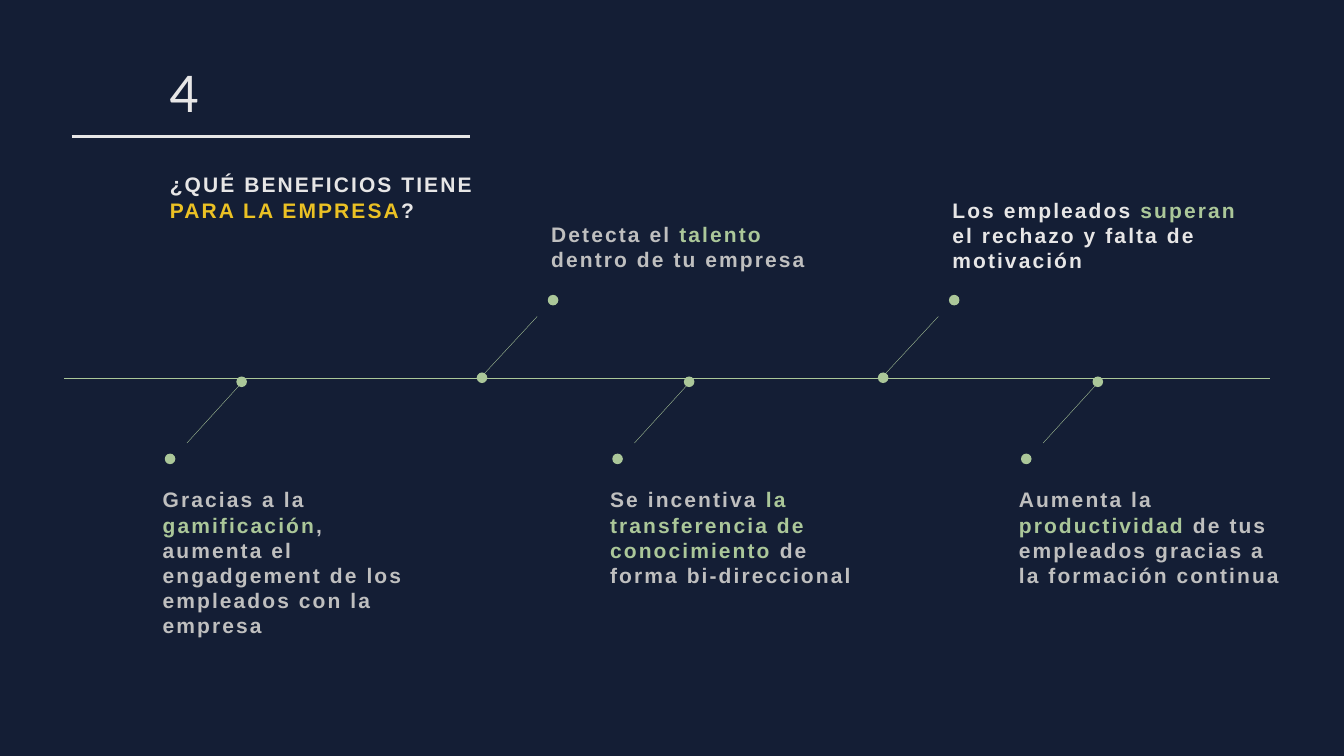
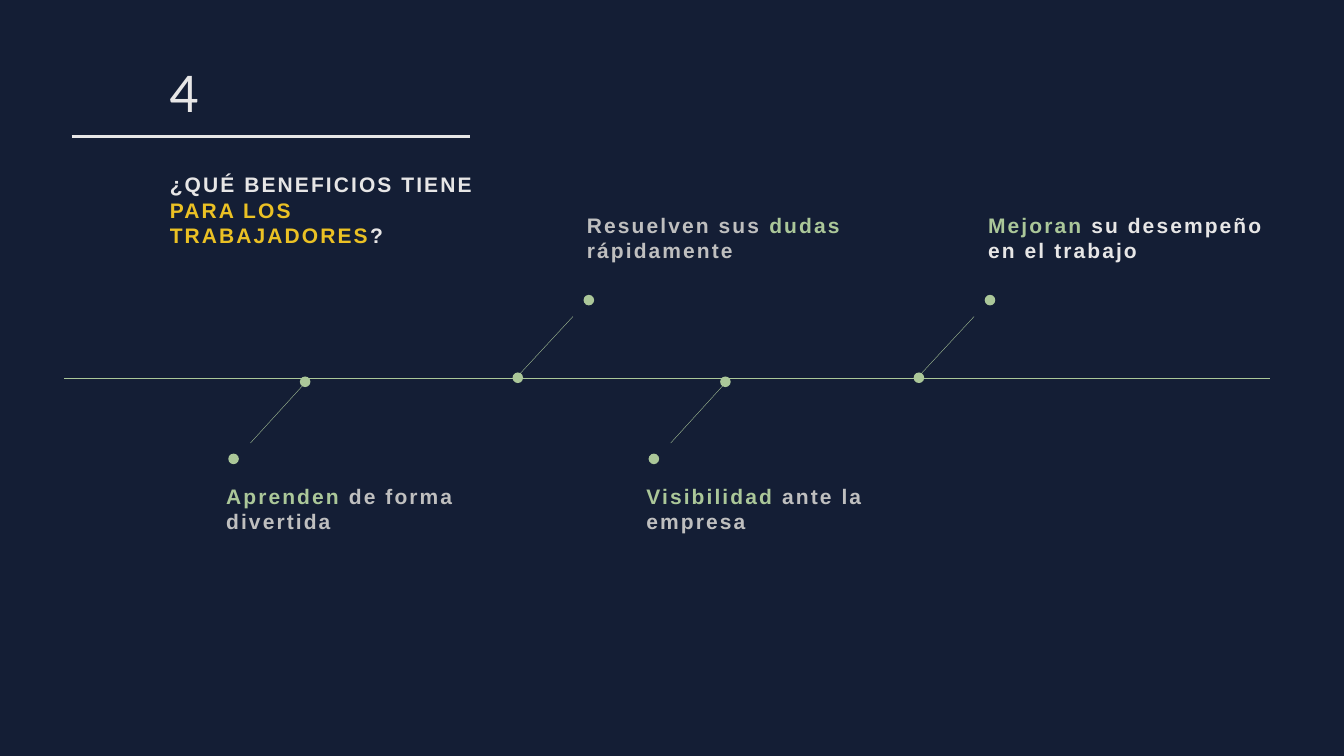
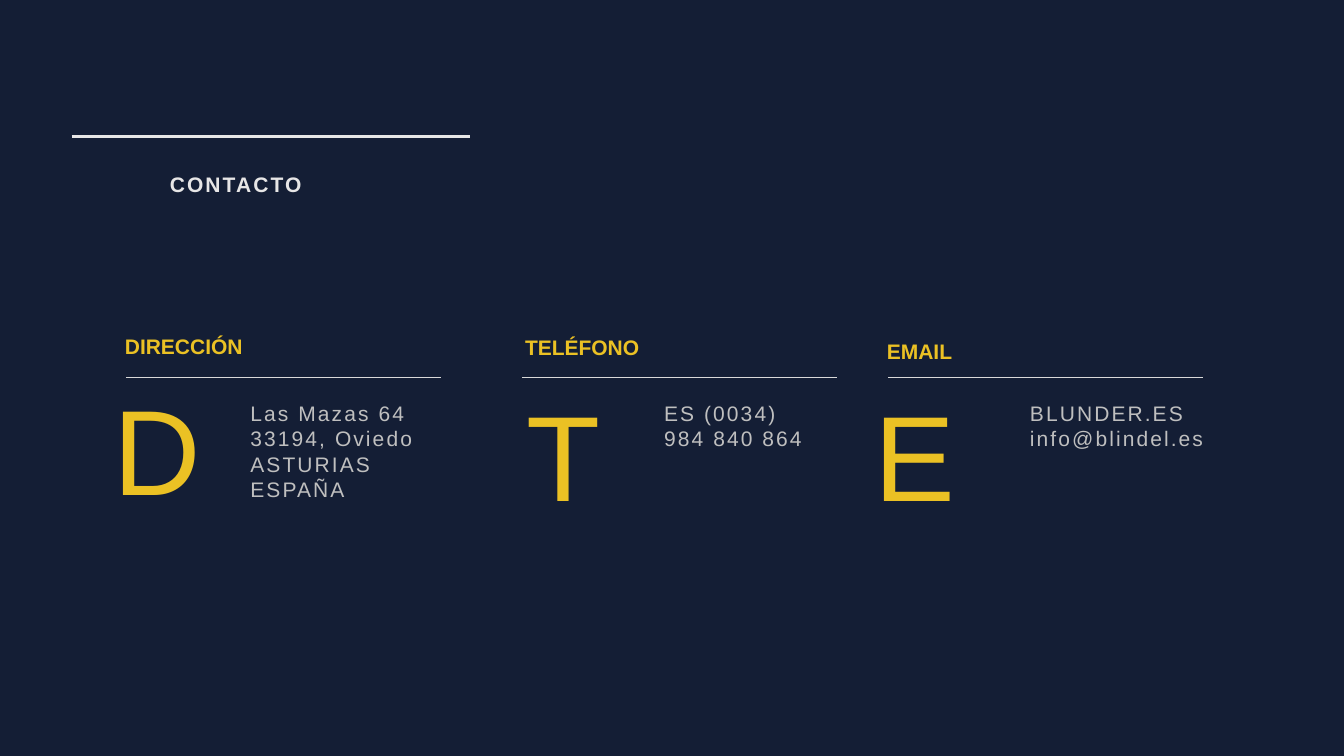
from lxml import etree
from pptx import Presentation
from pptx.dml.color import RGBColor
from pptx.enum import shapes, text
from pptx.oxml.ns import qn
from pptx.util import Inches, Pt

COLORS = {
    "navy": "141E35",
    "white": "E7E6E6",
    "grey": "BFBFBF",
    "rule": "D9D9D9",
    "green": "ABC799",
    "yellow": "EBC124",
}
DOT = 0.21
AXIS_Y = 7.5


def rgb(color):
    return RGBColor.from_string(COLORS[color])


def place(shape, left, top, width, height):
    shape.left, shape.top = Inches(left), Inches(top)
    shape.width, shape.height = Inches(width), Inches(height)


def text_height(lines, size=30):
    return round(0.1 + lines * size * 1.21 / 72, 2)


def write(frame, paragraphs, size=30, font="Arial", bold=False, spacing=0):
    """Fill a frame with paragraphs, each a list of (words, color) runs."""
    frame.word_wrap = True
    frame.auto_size = text.MSO_AUTO_SIZE.SHAPE_TO_FIT_TEXT
    frame.vertical_anchor = text.MSO_ANCHOR.TOP
    for index, pieces in enumerate(paragraphs):
        paragraph = frame.paragraphs[0] if index == 0 else frame.add_paragraph()
        paragraph.alignment = text.PP_ALIGN.LEFT
        for words, color in pieces:
            run = paragraph.add_run()
            run.text = words
            run.font.name, run.font.size, run.font.bold = font, Pt(size), bold
            run.font.color.rgb = rgb(color)
            if spacing:
                run._r.get_or_add_rPr().set("spc", str(spacing * 100))


def add_text(slide, left, top, width, lines, paragraphs, size=30, **style):
    box = slide.shapes.add_textbox(
        Inches(left), Inches(top), Inches(width), Inches(text_height(lines, size)))
    write(box.text_frame, paragraphs, size, **style)


def add_line(parent, start, end, color, weight=0.5):
    line = parent.shapes.add_connector(
        shapes.MSO_CONNECTOR.STRAIGHT, *(Inches(round(v, 2)) for v in (*start, *end)))
    line.line.color.rgb = rgb(color)
    line.line.width = Pt(weight)
    etree.SubElement(line._element.spPr, qn("a:effectLst"))


def add_dot(parent, left, top):
    dot = parent.shapes.add_shape(
        shapes.MSO_SHAPE.OVAL, Inches(left), Inches(top), Inches(DOT), Inches(DOT))
    dot.shadow.inherit = False
    dot.fill.solid()
    dot.fill.fore_color.rgb = rgb("green")
    dot.line.fill.background()


def add_titled_slide(prs, pieces, number=None):
    """Start a slide with its heading, the rule above it and a section number."""
    slide = prs.slides.add_slide(prs.slide_layouts[5])
    title = slide.shapes.title
    place(title, 3.27, 3.36, 6.97, text_height(2 if number else 1))
    write(title.text_frame, [pieces], bold=True, spacing=3)
    if number:
        add_text(slide, 3.27, 1.19, 1.5, 1, [[(number, "white")]], size=72, font="Lato")
    add_line(slide, (1.42, 2.71), (9.33, 2.71), "white", 4.5)
    return slide


def add_branch(slide, joint, up):
    """Draw a slanted branch whose joint dot on the axis starts at x = joint."""
    group = slide.shapes.add_group_shape()
    if up:
        add_line(group, (joint + 0.08, 7.49), (joint + 1.2, 6.28), "green")
        add_dot(group, joint + 1.41, 5.85)
        add_dot(group, joint, 7.39)
    else:
        add_line(group, (joint + 0.13, 7.57), (joint - 0.98, 8.79), "green")
        add_dot(group, joint - 1.42, 9)
        add_dot(group, joint, 7.47)


def add_benefits_slide(prs, audience, benefits):
    slide = add_titled_slide(
        prs,
        [("¿QUÉ BENEFICIOS TIENE ", "white"), (audience, "yellow"), ("?", "white")],
        number="4")
    add_line(slide, (1.28, AXIS_Y), (25.2, AXIS_Y), "green")
    for joint, top, width, lines, pieces in benefits:
        up = top < AXIS_Y
        add_branch(slide, joint, up)
        left = joint + (1.38 if up else -1.56)
        add_text(slide, left, top, width, lines, [pieces], bold=True, spacing=3)


def add_contact(slide, heading, heading_at, rule_left, letter_at, letter_width,
                info_left, info_width, info):
    add_text(slide, *heading_at, 3.04, 1, [[(heading, "yellow")]], bold=True)
    add_line(slide, (rule_left, 7.49), (rule_left + 6.25, 7.49), "rule")
    add_text(slide, *letter_at, letter_width, 1, [[(heading[0], "yellow")]], size=173)
    add_text(slide, info_left, 7.9, info_width, len(info),
             [[(line, "grey")] for line in info], spacing=3)


COMPANY_BENEFITS = [
    # joint x, text top, text width, lines, text
    (4.69, 9.61, 5.53, 5, [
        ("Gracias a la ", "grey"), ("gamificación", "green"),
        (", aumenta el engadgement de los empleados con la empresa", "grey")]),
    (9.46, 4.34, 5.76, 2, [
        ("Detecta el ", "grey"), ("talento", "green"),
        (" dentro de tu empresa", "grey")]),
    (13.57, 9.61, 5.53, 4, [
        ("Se incentiva ", "grey"), ("la transferencia de conocimiento ", "green"),
        ("de forma bi-direccional", "grey")]),
    (17.42, 3.87, 6.08, 3, [
        ("Los empleados ", "white"), ("superan", "green"),
        (" el rechazo y falta de motivación", "white")]),
    (21.68, 9.61, 5.53, 4, [
        ("Aumenta la ", "grey"), ("productividad", "green"),
        (" de tus empleados gracias a la formación continua", "grey")]),
]

WORKER_BENEFITS = [
    (5.95, 9.54, 5.53, 2, [("Aprenden", "green"), (" de forma divertida", "grey")]),
    (10.17, 4.16, 5.36, 2, [
        ("Resuelven sus ", "grey"), ("dudas ", "green"), ("rápidamente", "grey")]),
    (14.29, 9.54, 5.53, 2, [("Visibilidad", "green"), (" ante la empresa", "grey")]),
    (18.13, 4.16, 6.08, 2, [
        ("Mejoran", "green"), (" su desempeño en el trabajo", "white")]),
]

CONTACTS = [
    # heading, its place, rule left, letter place and width, info left and width, info
    ("DIRECCIÓN", (2.38, 6.57), 2.5, (2.16, 7.38), 2.93, 4.87, 3.88,
     ["Las Mazas 64 33194, Oviedo", "ASTURIAS", "ESPAÑA"]),
    ("TELÉFONO", (10.32, 6.58), 10.36, (10.35, 7.49), 1.65, 13.08, 3.54,
     ["ES (0034)", "984 840 864"]),
    ("EMAIL", (17.5, 6.66), 17.63, (17.26, 7.49), 1.82, 20.34, 3.84,
     ["BLUNDER.ES", "info@blindel.es"]),
]


def main():
    prs = Presentation()
    prs.slide_width, prs.slide_height = Inches(26.67), Inches(15)
    backdrop = prs.slide_master.background.fill
    backdrop.solid()
    backdrop.fore_color.rgb = rgb("navy")

    add_benefits_slide(prs, "PARA LA EMPRESA", COMPANY_BENEFITS)
    add_benefits_slide(prs, "PARA LOS TRABAJADORES", WORKER_BENEFITS)

    contact_slide = add_titled_slide(prs, [("CONTACTO", "white")])
    for contact in CONTACTS:
        add_contact(contact_slide, *contact)

    prs.save("out.pptx")


if __name__ == "__main__":
    main()
